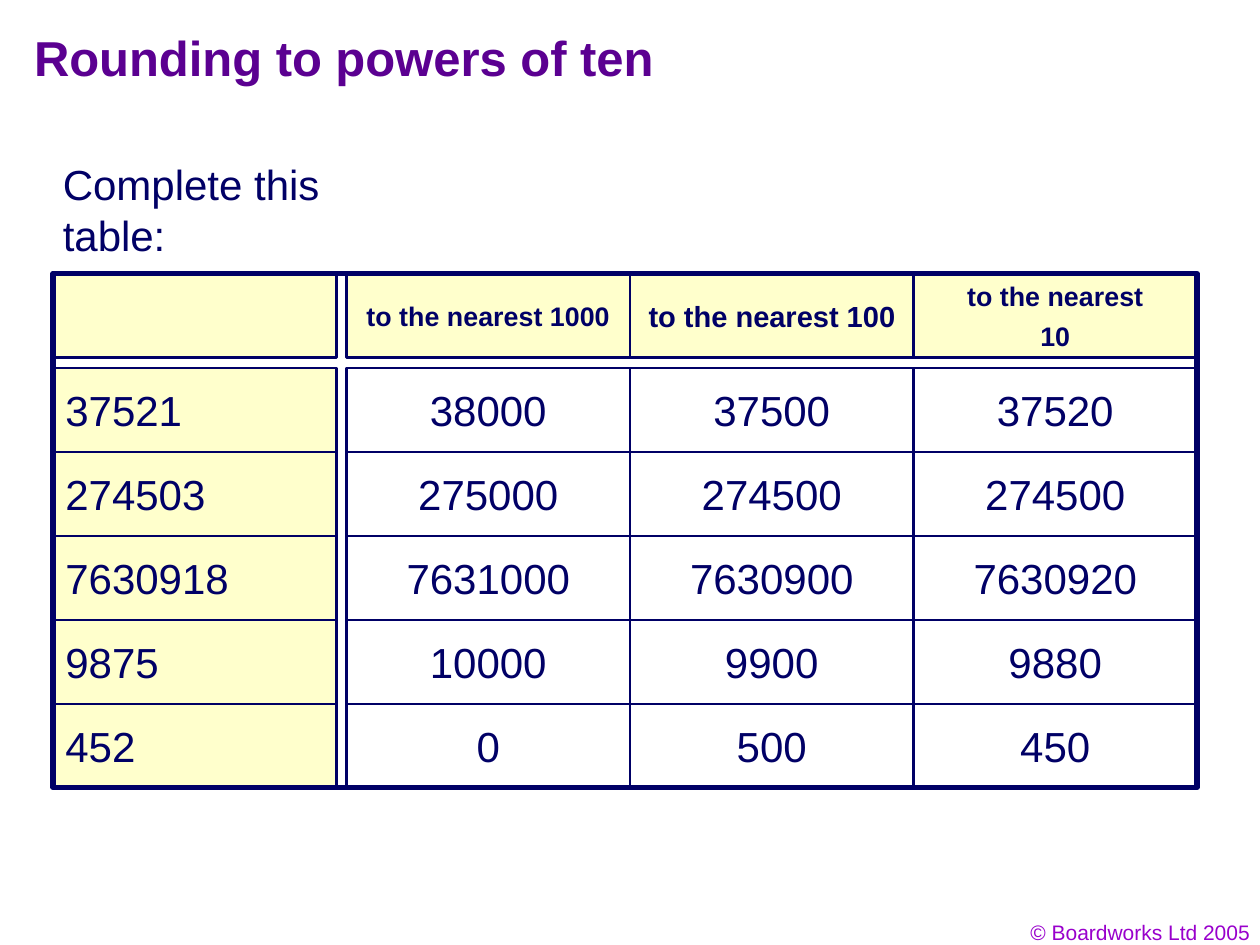
from pptx import Presentation
from pptx.dml.color import RGBColor
from pptx.enum.shapes import MSO_SHAPE
from pptx.enum.text import MSO_ANCHOR, MSO_AUTO_SIZE, PP_ALIGN
from pptx.util import Inches, Pt

RECTANGLE = MSO_SHAPE.RECTANGLE
TOP, MIDDLE = MSO_ANCHOR.TOP, MSO_ANCHOR.MIDDLE
LEFT, CENTER, RIGHT = PP_ALIGN.LEFT, PP_ALIGN.CENTER, PP_ALIGN.RIGHT
NO_FIT, GROW = MSO_AUTO_SIZE.NONE, MSO_AUTO_SIZE.SHAPE_TO_FIT_TEXT

PURPLE = RGBColor(0x5B, 0x00, 0x91)
VIOLET = RGBColor(0x99, 0x00, 0xCC)
NAVY = RGBColor(0x00, 0x00, 0x66)
INK = RGBColor(0x01, 0x00, 0x66)
CREAM = RGBColor(0xFF, 0xFF, 0xCC)
WHITE = RGBColor(0xFF, 0xFF, 0xFF)

GRID_LEFT, GRID_TOP = 0.42, 2.17
GRID_WIDTH, GRID_HEIGHT = 9.08, 4.08
CELL_WIDTH, CELL_HEIGHT = 2.25, 0.67
ANSWERS_LEFT, ANSWERS_TOP = 2.75, 2.92
ROW_STEP = 2 / 3
ANSWER_HEIGHT, DIGIT_WIDTH, SIDE_MARGINS = 0.5, 0.185, 0.2

HEADINGS = [
    ("to the nearest 1000", 15.3),
    ("to the nearest 100", 16.6),
    ("to the nearest\n10", 15.3),
]
ROUNDINGS = [
    ("37521", ["38000", "37500", "37520"]),
    ("274503", ["275000", "274500", "274500"]),
    ("7630918", ["7631000", "7630900", "7630920"]),
    ("9875", ["10000", "9900", "9880"]),
    ("452", ["0", "500", "450"]),
]


def write_text(frame, text, size, color, align=LEFT, bold=False, gap=0, **frame_format):
    for name, value in frame_format.items():
        setattr(frame, name, value)
    frame.text = text
    font_format = {"name": "Arial", "size": Pt(size), "bold": bold}
    for index, paragraph in enumerate(frame.paragraphs):
        paragraph.alignment = align
        paragraph.space_before = Pt(gap if index else 0)
        for name, value in font_format.items():
            setattr(paragraph.font, name, value)
        paragraph.font.color.rgb = color


def add_title(slide, text):
    title = slide.shapes.title
    place = {"left": 0.17, "top": 0.17, "width": 8.42, "height": 0.58}
    for name, value in place.items():
        setattr(title, name, Inches(value))
    write_text(title.text_frame, text, 28, PURPLE, bold=True,
               vertical_anchor=TOP, auto_size=NO_FIT, word_wrap=True)


def add_label(slide, box, text, size, color, align=LEFT, wrap=False):
    label = slide.shapes.add_textbox(*map(Inches, box))
    write_text(label.text_frame, text, size, color, align,
               word_wrap=wrap, auto_size=GROW)


def add_box(slide, box, fill=None, line_width=1.5):
    rectangle = slide.shapes.add_shape(RECTANGLE, *map(Inches, box))
    rectangle.shadow.inherit = False
    if fill is None:
        rectangle.fill.background()
    else:
        rectangle.fill.solid()
        rectangle.fill.fore_color.rgb = fill
    rectangle.line.color.rgb = NAVY
    rectangle.line.width = Pt(line_width)
    return rectangle


def add_cell(slide, left, top, fill, text="", size=24, **text_format):
    cell = add_box(slide, (left, top, CELL_WIDTH, CELL_HEIGHT), fill)
    if text:
        write_text(cell.text_frame, text, size, NAVY,
                   vertical_anchor=MIDDLE, word_wrap=True, **text_format)


def add_answer(slide, left, top, text):
    width = SIDE_MARGINS + DIGIT_WIDTH * len(text)
    box = (left + (CELL_WIDTH - width) / 2,
           top + (CELL_HEIGHT - ANSWER_HEIGHT) / 2, width, ANSWER_HEIGHT)
    add_label(slide, box, text, 24, INK, CENTER)


def add_rounding_grid(slide):
    column_lefts = [ANSWERS_LEFT + i * CELL_WIDTH for i in range(len(HEADINGS))]
    row_tops = [ANSWERS_TOP + i * ROW_STEP for i in range(len(ROUNDINGS))]

    add_cell(slide, GRID_LEFT, GRID_TOP, CREAM)
    for left, (heading, size) in zip(column_lefts, HEADINGS):
        add_cell(slide, left, GRID_TOP, CREAM, heading, size,
                 align=CENTER, bold=True, gap=4.5)
    for top, (number, _) in zip(row_tops, ROUNDINGS):
        add_cell(slide, GRID_LEFT, top, CREAM, number)
        for left in column_lefts:
            add_cell(slide, left, top, WHITE)

    add_box(slide, (GRID_LEFT, GRID_TOP, GRID_WIDTH, GRID_HEIGHT), line_width=3)
    for top, (_, answers) in zip(row_tops, ROUNDINGS):
        for left, answer in zip(column_lefts, answers):
            add_answer(slide, left, top, answer)


def main():
    presentation = Presentation()
    presentation.slide_width = Inches(10)
    presentation.slide_height = Inches(7.5)
    slide = presentation.slides.add_slide(presentation.slide_layouts[5])
    add_label(slide, (7.69, 7.25, 2.33, 0.3), "© Boardworks Ltd 2005",
              12, VIOLET, RIGHT, wrap=True)
    add_title(slide, "Rounding to powers of ten")
    add_label(slide, (0.4, 1.21, 3.14, 0.5), "Complete this table:", 24, INK)
    add_rounding_grid(slide)
    presentation.save("out.pptx")


if __name__ == "__main__":
    main()
